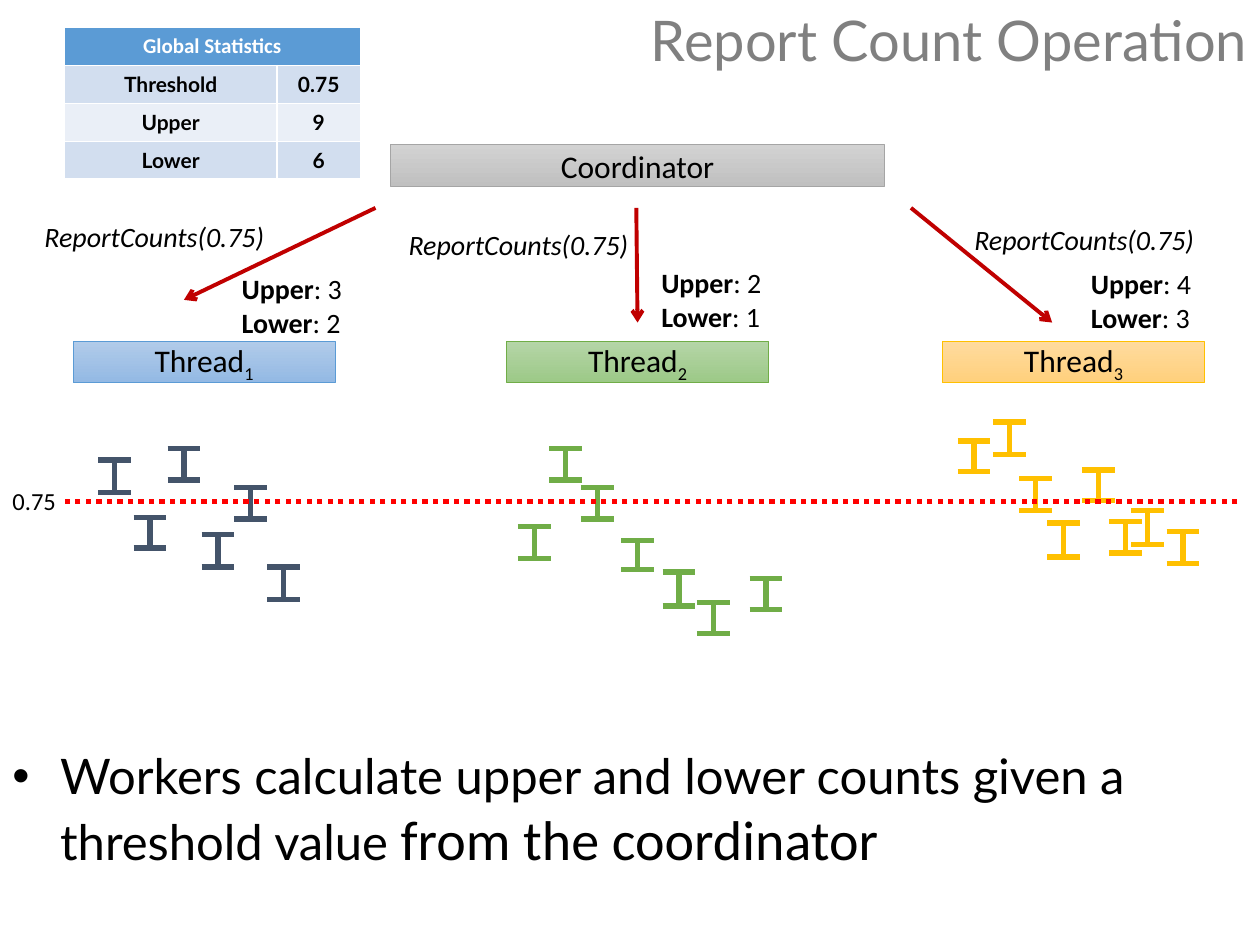
from dataclasses import dataclass

from lxml.etree import SubElement
from pptx import Presentation
from pptx.dml.color import RGBColor
from pptx.enum.dml import MSO_LINE_DASH_STYLE as Dash
from pptx.enum.shapes import MSO_CONNECTOR as Connector, MSO_SHAPE as Shape
from pptx.enum.text import MSO_ANCHOR as Anchor, PP_ALIGN as Align
from pptx.oxml.ns import qn
from pptx.util import Inches, Pt

# Grid of 100 columns by 75 rows on a 10 x 7.5 inch slide
WIDTH, HEIGHT = Inches(10), Inches(7.5)
COLUMN, ROW = WIDTH / 100, HEIGHT / 75


@dataclass(frozen=True)
class Theme:
    body: str = "Calibri"
    display: str = "Lato"
    black: str = "000000"
    white: str = "FFFFFF"
    title: str = "808080"
    arrow: str = "C00000"
    threshold: str = "FF0000"
    header: str = "5B9BD5"
    bands: tuple = ("D2DEEF", "EAEFF7")
    coordinator: tuple = ("D2D2D2", "C0C0C0", "A5A5A5")
    heading_size: int = 32
    bullet_size: int = 28
    box_size: int = 18
    label_size: int = 16
    axis_size: int = 14
    table_size: int = 12


THEME = Theme()

# Per thread: box column, (gradient top, gradient bottom, outline), interval colour,
# call label place, counts place, (upper, lower), arrow ends,
# and intervals as (centre column, top row, bottom row)
THREADS = [
    (5.8, ("B1CBE9", "93B9E4", "5B9BD5"), "44546A",
     (1.9, 16.9), (18.2, 21.1), (3, 2), (29.8, 16.5, 14.6, 23.8),
     [(9.1, 36.5, 39.1), (14.6, 35.6, 38.1), (17.3, 42.4, 45), (19.9, 38.7, 41.2),
      (22.5, 45, 47.6), (11.9, 41.1, 43.5)]),
    (40.2, ("B5D5A7", "9CC987", "70AD47"), "70AD47",
     (30.8, 17.6), (51.5, 20.6), (2, 1), (50.5, 16.5, 50.6, 25.6),
     [(44.9, 35.6, 38.1), (47.4, 38.7, 41.2), (50.6, 42.9, 45.2), (42.4, 41.8, 44.3),
      (53.9, 45.4, 48.1), (56.6, 47.8, 50.3), (60.8, 45.9, 48.4)]),
    (74.8, ("FFDB9E", "FFD07C", "FFC000"), "FFC000",
     (75.7, 17.2), (85.6, 20.7), (4, 3), (72.3, 16.5, 83.5, 25.6),
     [(77.3, 35, 37.4), (80.1, 33.5, 36.1), (82.2, 38, 40.5), (84.4, 41.5, 44.2),
      (87.2, 37.3, 39.7), (89.3, 41.4, 43.9), (91.1, 40.5, 43.2), (93.9, 42.2, 44.7)]),
]


def rgb(value):
    return RGBColor.from_string(value)


def grid(*lengths):
    """Turn alternating columns and rows into slide lengths."""
    return [round(n * (ROW if i % 2 else COLUMN)) for i, n in enumerate(lengths)]


def set_all(target, values):
    for name, value in values.items():
        setattr(target, name, value)


def add_span(para, text, size, font=THEME.body, color=THEME.black, **style):
    span = para.add_run()
    span.text = text
    set_all(span.font, {"size": Pt(size), "name": font, **style})
    span.font.color.rgb = rgb(color)
    return span


def add_text(page, place, lines, frame=None, para_format=None):
    """Each line is a list of (text, size, style) spans."""
    box = page.shapes.add_textbox(*grid(*place))
    set_all(box.text_frame, {"word_wrap": True, **(frame or {})})
    for index, spans in enumerate(lines):
        para = box.text_frame.add_paragraph() if index else box.text_frame.paragraphs[0]
        set_all(para, para_format or {})
        for text, size, style in spans:
            add_span(para, text, size, **style)
    return box


def add_box(page, place, text, colors, subscript=None):
    box = page.shapes.add_shape(Shape.RECTANGLE, *grid(*place))
    box.shadow.inherit = False
    *stops, outline = colors
    box.fill.gradient()
    box.fill.gradient_angle = 270
    for stop, color in zip(box.fill.gradient_stops, stops):
        stop.color.rgb = rgb(color)
    box.line.color.rgb = rgb(outline)
    box.line.width = Pt(0.5)
    box.text_frame.vertical_anchor = Anchor.MIDDLE
    para = box.text_frame.paragraphs[0]
    para.alignment = Align.CENTER
    add_span(para, text, THEME.box_size)
    if subscript:
        span = add_span(para, subscript, THEME.box_size)
        span._r.get_or_add_rPr().set("baseline", "-25000")


def add_line(shapes, ends, color, width=3, dash=None, arrow=False):
    line = shapes.add_connector(Connector.STRAIGHT, *grid(*ends))
    line.line.color.rgb = rgb(color)
    set_all(line.line, {"width": Pt(width), "dash_style": dash})
    if arrow:
        SubElement(line.line._get_or_add_ln(), qn("a:tailEnd"), type="arrow")
    SubElement(line._element.spPr, qn("a:effectLst"))


def add_intervals(page, intervals, color):
    group = page.shapes.add_group_shape()
    cap = 1.3
    for x, top, bottom in intervals:
        add_line(group.shapes, (x, bottom, x, top), color)
        for y in (top, bottom):
            add_line(group.shapes, (x - cap, y, x + cap, y), color)


def add_statistics(page):
    rows = [("Global Statistics", ""), ("Threshold", "0.75"), ("Upper", "9"), ("Lower", "6")]
    table = page.shapes.add_table(len(rows), 2, *grid(5.1, 2.2, 23.5, 12)).table
    for column, width in zip(table.columns, (16.9, 6.6)):
        column.width = round(width * COLUMN)
    table.cell(0, 0).merge(table.cell(0, 1))
    for r, row in enumerate(rows):
        fill = THEME.bands[(r - 1) % 2] if r else THEME.header
        font, color = (THEME.display, THEME.black) if r else (THEME.body, THEME.white)
        for c, text in enumerate(row):
            cell = table.cell(r, c)
            cell.fill.solid()
            cell.fill.fore_color.rgb = rgb(fill)
            if text:
                para = cell.text_frame.paragraphs[0]
                para.alignment = Align.CENTER
                add_span(para, text, THEME.table_size, font, color, bold=True)


def add_thread(page, number, thread):
    column, colors, interval_color, call, counts, values, arrow, intervals = thread
    add_box(page, (column, 27.1, 20.8, 3.3), "Thread", colors, str(number))
    add_line(page.shapes, arrow, THEME.arrow, 2.25, arrow=True)
    add_intervals(page, intervals, interval_color)
    size = THEME.label_size
    add_text(page, (*call, 20.7, 3.7), [[("ReportCounts(0.75)", size, {"italic": True})]],
             para_format={"alignment": Align.CENTER})
    add_text(page, (*counts, 10.5, 6.4),
             [[(name, size, {"bold": True}), (f": {value}", size, {})]
              for name, value in zip(("Upper", "Lower"), values)])


def add_bullet(page):
    box = add_text(
        page, (0, 53, 100, 22),
        [[("Workers calculate upper and lower counts given a threshold value",
           THEME.bullet_size, {"font": THEME.display}),
          (" from the coordinator", THEME.heading_size, {})]],
        frame={"margin_top": round(6.2 * ROW)})
    props = box.text_frame.paragraphs[0]._p.get_or_add_pPr()
    indent = round(3.8 * COLUMN)
    props.set("marL", str(indent))
    props.set("indent", str(-indent))
    SubElement(props, qn("a:buFont"), typeface="Arial")
    SubElement(props, qn("a:buChar"), char="•")


def main():
    deck = Presentation()
    set_all(deck, {"slide_width": WIDTH, "slide_height": HEIGHT})
    page = deck.slides.add_slide(deck.slide_layouts[6])

    # Title
    add_text(page, (0, 0, 100, 6.8),
             [[("Report Count Operation", THEME.heading_size,
                {"font": THEME.display, "color": THEME.title})]],
             frame={"vertical_anchor": Anchor.MIDDLE},
             para_format={"alignment": Align.RIGHT, "line_spacing": 0.9})

    # Coordinator and its threads
    add_box(page, (31, 11.5, 39.2, 3.3), "Coordinator", THEME.coordinator)
    for number, thread in enumerate(THREADS, 1):
        add_thread(page, number, thread)

    # Threshold across all intervals
    add_line(page.shapes, (98.2, 39.8, 4.8, 39.8), THEME.threshold, dash=Dash.ROUND_DOT)
    add_text(page, (0, 38.1, 5.8, 3.4), [[("0.75", THEME.axis_size, {})]])

    # Explanation and statistics
    add_bullet(page)
    add_statistics(page)
    deck.save("out.pptx")


if __name__ == "__main__":
    main()
